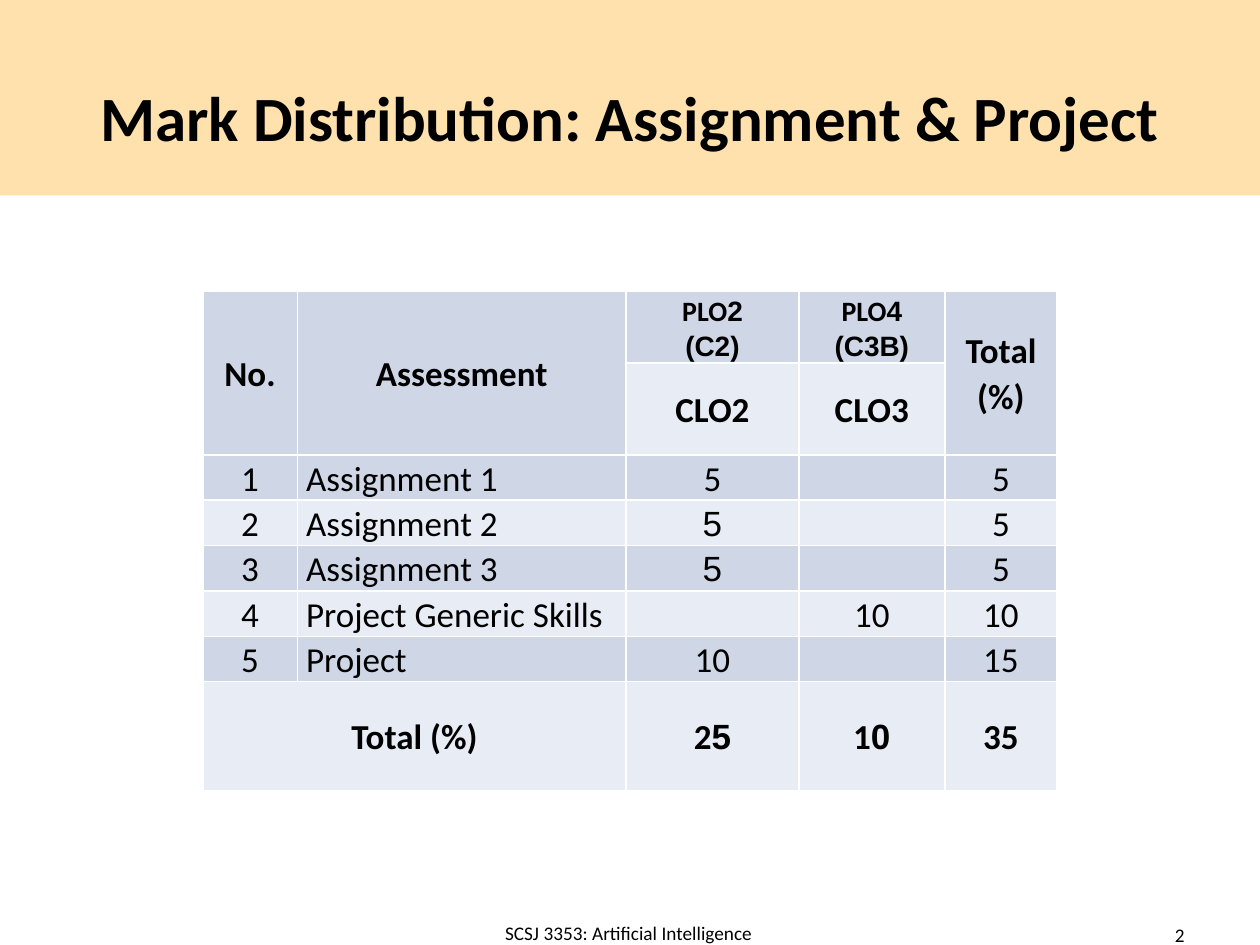
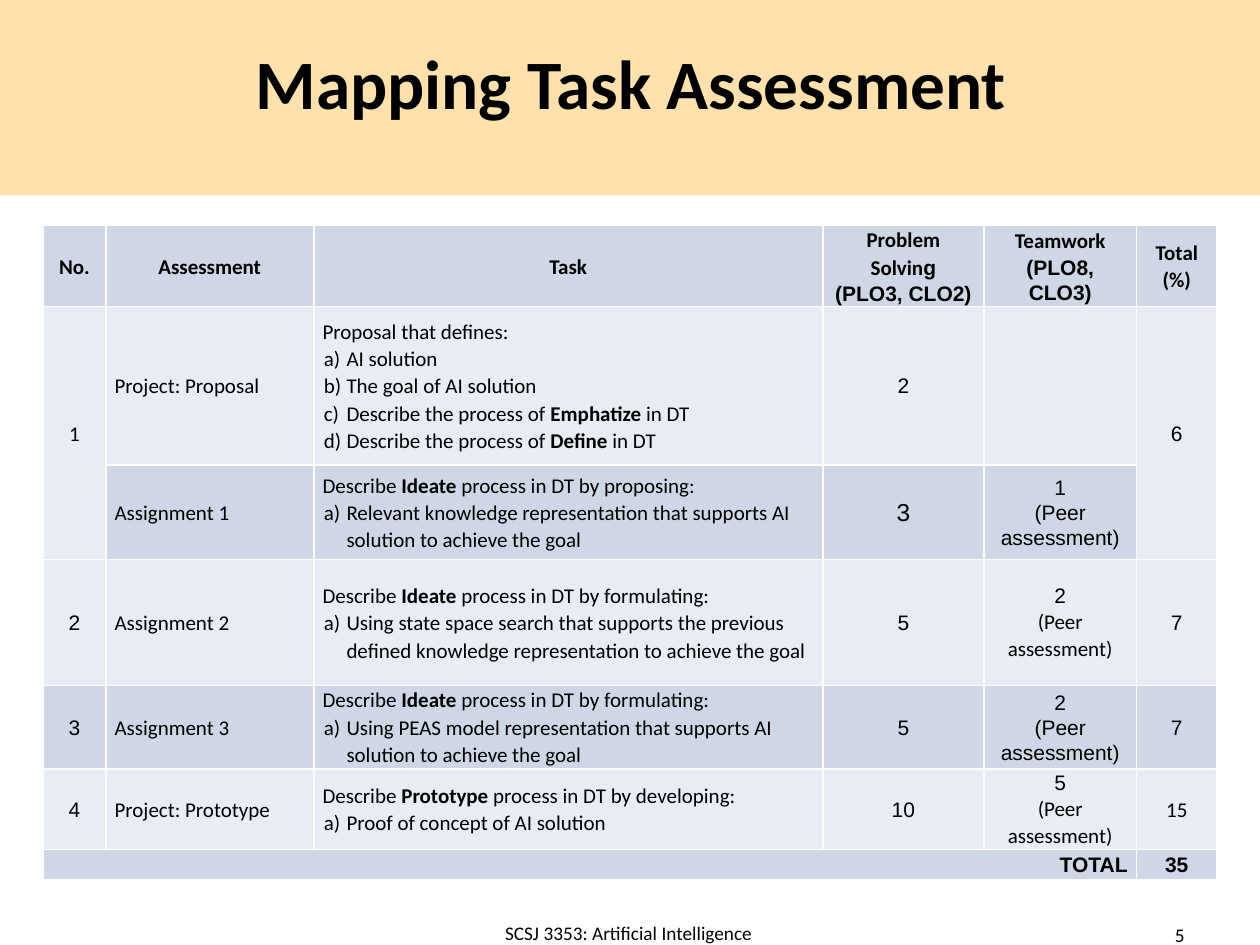
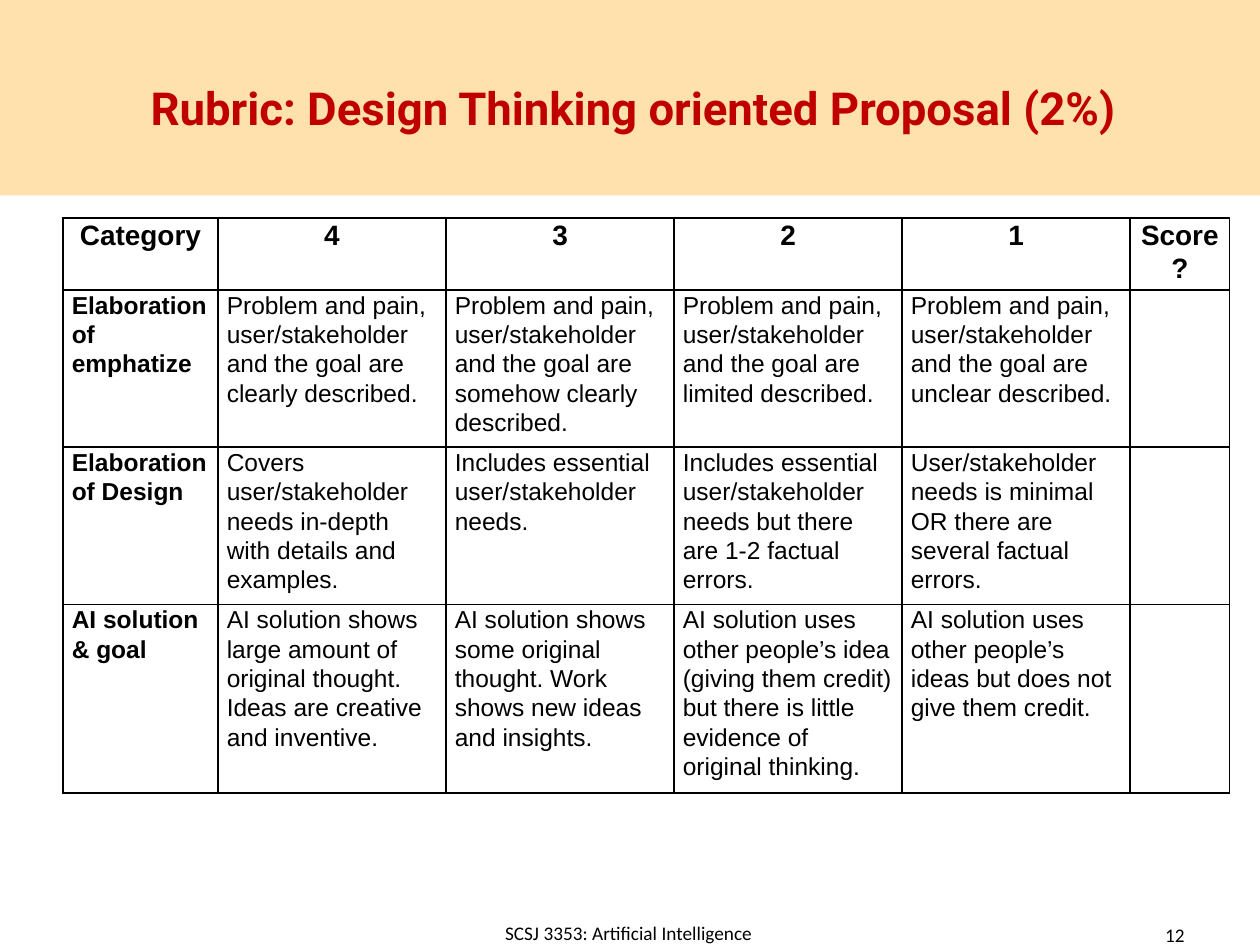
from dataclasses import dataclass, field

from lxml import etree
from pptx import Presentation
from pptx.dml.color import RGBColor
from pptx.enum.shapes import MSO_SHAPE
from pptx.enum.text import MSO_ANCHOR, PP_ALIGN
from pptx.oxml.ns import qn
from pptx.util import Inches, Pt

RECT = MSO_SHAPE.RECTANGLE
MIDDLE, TOP = MSO_ANCHOR.MIDDLE, MSO_ANCHOR.TOP
ALIGN = {"l": PP_ALIGN.LEFT, "c": PP_ALIGN.CENTER, "r": PP_ALIGN.RIGHT}
COLORS = {
    "band": "FFE1AD",
    "ink": "000000",
    "red": "C00000",
    "white": "FFFFFF",
    "row_dark": "CFD7E7",
    "row_light": "E8ECF4",
}
BODY_FONT, ALT_FONT = "Calibri", "Arial"
BOLD_MARK, ALT_MARK, ITEM_MARK = "*", "~", "#"
FOOTER = "SCSJ 3353: Artificial Intelligence"
FOOTER_SIZE = 11
LINE_SPACING = 1.07


@dataclass
class Label:
    text: str
    box: tuple[float, float, float, float]
    size: float
    font: str = BODY_FONT
    color: str = "ink"
    bold: bool = False
    align: str = "c"


@dataclass
class Grid:
    left: float
    top: float
    cols: list[float]
    rows: list[float]
    cells: list[list[str]]
    aligns: str
    size: float
    font: str = BODY_FONT
    border: str = "white"
    fills: tuple[str, ...] = ("row_dark", "row_light")
    anchor: MSO_ANCHOR = MIDDLE
    header_rows: int = 1
    bold_rows: tuple[int, ...] = (0,)
    bold_cols: tuple[int, ...] = ()
    merges: list[tuple[int, int, int, int]] = field(default_factory=list)
    cell_aligns: dict[tuple[int, int], str] = field(default_factory=dict)
    cell_sizes: dict[tuple[int, int], float] = field(default_factory=dict)


@dataclass
class Page:
    title: Label
    number: int
    grid: Grid


def rgb(name: str) -> RGBColor:
    return RGBColor.from_string(COLORS[name])


def style_run(r, size: float, font: str, color: str, bold: bool) -> None:
    r.font.size = Pt(size)
    r.font.name = font
    r.font.bold = bold
    r.font.color.rgb = rgb(color)


def add_label(slide, label: Label) -> None:
    tf = slide.shapes.add_textbox(*map(Inches, label.box)).text_frame
    tf.word_wrap = True
    tf.vertical_anchor = MIDDLE
    tf.text = label.text
    p = tf.paragraphs[0]
    p.alignment = ALIGN[label.align]
    style_run(p.runs[0], label.size, label.font, label.color, label.bold)


def add_band(slide) -> None:
    sp = slide.shapes.add_shape(RECT, 0, 0, Inches(10), Inches(1.55))
    sp.shadow.inherit = False
    sp.fill.solid()
    sp.fill.fore_color.rgb = rgb("band")
    sp.line.fill.background()


def letter_item(p) -> None:
    pPr = p._p.get_or_add_pPr()
    pPr.set("marL", str(Inches(0.19)))
    pPr.set("indent", str(Inches(-0.18)))
    clr = etree.SubElement(pPr, qn("a:buClr"))
    etree.SubElement(clr, qn("a:srgbClr")).set("val", COLORS["ink"])
    etree.SubElement(pPr, qn("a:buAutoNum")).set("type", "alphaLcParenR")


def set_borders(cell, color: str) -> None:
    tcPr = cell._tc.get_or_add_tcPr()
    for i, side in enumerate(("lnL", "lnR", "lnT", "lnB")):
        ln = etree.Element(qn(f"a:{side}"))
        ln.set("w", str(Pt(1)))
        fill = etree.SubElement(ln, qn("a:solidFill"))
        etree.SubElement(fill, qn("a:srgbClr")).set("val", COLORS[color])
        tcPr.insert(i, ln)


def write_cell(cell, text: str, align: str, size: float, font: str, bold: bool) -> None:
    tf = cell.text_frame
    for i, line in enumerate(text.split("\n")):
        p = tf.add_paragraph() if i else tf.paragraphs[0]
        p.alignment = ALIGN[align]
        p.line_spacing = LINE_SPACING
        if line.startswith(ITEM_MARK):
            letter_item(p)
            line = line[1:]
        for j, strong in enumerate(line.split(BOLD_MARK)):
            for k, part in enumerate(strong.split(ALT_MARK)):
                if part:
                    r = p.add_run()
                    r.text = part
                    style_run(r, size, ALT_FONT if k % 2 else font, "ink", bold or j % 2 == 1)


def add_grid(slide, grid: Grid) -> None:
    frame = slide.shapes.add_table(
        len(grid.rows), len(grid.cols), Inches(grid.left), Inches(grid.top),
        Inches(sum(grid.cols)), Inches(sum(grid.rows)))
    table = frame.table
    table.first_row = table.horz_banding = False
    for col, width in zip(table.columns, grid.cols):
        col.width = Inches(width)
    for row, height in zip(table.rows, grid.rows):
        row.height = Inches(height)
    for i, texts in enumerate(grid.cells):
        for j, text in enumerate(texts):
            cell = table.cell(i, j)
            cell.margin_left = cell.margin_right = Inches(0.07)
            cell.margin_top = cell.margin_bottom = 0
            cell.vertical_anchor = grid.anchor
            if grid.fills:
                cell.fill.solid()
                cell.fill.fore_color.rgb = rgb(grid.fills[i % len(grid.fills)])
            else:
                cell.fill.background()
            set_borders(cell, grid.border)
            align = "c" if i < grid.header_rows else grid.aligns[j]
            write_cell(cell, text, grid.cell_aligns.get((i, j), align),
                       grid.cell_sizes.get((i, j), grid.size), grid.font,
                       i in grid.bold_rows or j in grid.bold_cols)
    for top, left, bottom, right in grid.merges:
        table.cell(top, left).merge(table.cell(bottom, right))


MARKS = Grid(
    left=1.61, top=2.31,
    cols=[0.75, 2.61, 1.37, 1.16, 0.89],
    rows=[0.57, 0.73] + [0.36] * 5 + [0.87],
    aligns="clccc", size=20, header_rows=2, bold_rows=(0, 1, 7),
    merges=[(0, 0, 1, 0), (0, 1, 1, 1), (0, 4, 1, 4), (7, 0, 7, 1)],
    cell_sizes={(0, 2): 16, (0, 3): 16},
    cells=[
        ["No.", "Assessment", "PLO~2~\n~(C2)~", "PLO~4~\n~(C3B)~", "Total (%)"],
        ["", "", "CLO2", "CLO3", ""],
        ["1", "Assignment 1", "5", "", "5"],
        ["2", "Assignment 2", "~5~", "", "5"],
        ["3", "Assignment 3", "~5~", "", "5"],
        ["4", "Project Generic Skills", "", "10", "10"],
        ["5", "Project", "10", "", "15"],
        ["Total (%)", "", "2~5~", "1~0~", "35"],
    ],
)

TASKS = Grid(
    left=0.34, top=1.79,
    cols=[0.5, 1.65, 4.04, 1.28, 1.21, 0.64],
    rows=[0.63, 1.26, 0.75, 1, 0.66, 0.63, 0.24],
    aligns="cllccc", size=12, bold_rows=(0, 6),
    merges=[(1, 0, 2, 0), (1, 5, 2, 5), (6, 0, 6, 4)],
    cell_aligns={(6, 0): "r"}, cell_sizes={(2, 3): 14},
    cells=[
        ["No.", "Assessment", "Task", "Problem Solvin~g~\n~(PLO3, CLO2)~",
         "Teamwork\n~(PLO8, CLO3)~", "Total (%)"],
        ["1", "Project: Proposal",
         "Proposal that defines:\n#AI solution\n#The goal of AI solution\n"
         "#Describe the process of *Emphatize* in DT\n"
         "#Describe the process of *Define* in DT", "~2~", "", "~6~"],
        ["", "Assignment 1",
         "Describe *Ideate* process in DT by proposing:\n"
         "#Relevant knowledge representation that supports AI solution to achieve the goal",
         "~3~", "~1~\n~(Peer assessment)~", ""],
        ["~2~", "Assignment 2",
         "Describe *Ideate* process in DT by formulating:\n"
         "#Using state space search that supports the previous defined knowledge "
         "representation to achieve the goal",
         "~5~", "~2~\n(Peer assessment)", "~7~"],
        ["~3~", "Assignment 3",
         "Describe *Ideate* process in DT by formulating:\n"
         "#Using PEAS model representation that supports AI solution to achieve the goal",
         "~5~", "~2~\n~(Peer assessment)~", "~7~"],
        ["~4~", "Project: Prototype",
         "Describe *Prototype* process in DT by developing:\n#Proof of concept of AI solution",
         "~10~", "~5~\n(Peer assessment)", "15"],
        ["~TOTAL~", "", "", "", "", "~35~"],
    ],
)

RUBRIC = Grid(
    left=0.5, top=1.73,
    cols=[1.23] + [1.81] * 4 + [0.79],
    rows=[0.53, 1.17, 1.17, 1.4],
    aligns="llllll", size=14, font=ALT_FONT, border="ink", fills=(), anchor=TOP,
    bold_cols=(0,), cell_sizes={(0, j): 16 for j in range(6)},
    cells=[
        ["Category", "4", "3", "2", "1", "Score?"],
        ["Elaboration of emphatize"]
        + [f"Problem and pain, user/stakeholder and the goal are {level} described."
           for level in ("clearly", "somehow clearly", "limited", "unclear")] + [""],
        ["Elaboration of Design",
         "Covers user/stakeholder needs in-depth with details and examples.",
         "Includes essential user/stakeholder needs.",
         "Includes essential user/stakeholder needs but there are 1-2 factual errors.",
         "User/stakeholder needs is minimal OR there are several factual errors.", ""],
        ["AI solution & goal",
         "AI solution shows large amount of original thought. Ideas are creative and inventive.",
         "AI solution shows some original thought. Work shows new ideas and insights.",
         "AI solution uses other people’s idea (giving them credit) but there is little "
         "evidence of original thinking.",
         "AI solution uses other people’s ideas but does not give them credit.", ""],
    ],
)

PAGES = [
    Page(Label("Mark Distribution: Assignment & Project", (0.5, 0.3, 9, 1.25), 36, bold=True),
         2, MARKS),
    Page(Label("Mapping Task Assessment", (0.51, 0.29, 9, 0.72), 39.6, bold=True), 5, TASKS),
    Page(Label("Rubric: Design Thinking oriented Proposal (2%)", (0.53, 0.42, 9, 0.87), 26,
               "Roboto", "red", True), 12, RUBRIC),
]


def main() -> None:
    prs = Presentation()
    prs.slide_width, prs.slide_height = Inches(10), Inches(7.5)
    for page in PAGES:
        slide = prs.slides.add_slide(prs.slide_layouts[6])
        add_band(slide)
        add_label(slide, page.title)
        add_label(slide, Label(FOOTER, (2.7, 7.24, 4.58, 0.33), FOOTER_SIZE))
        add_label(slide, Label(str(page.number), (7.17, 7.22, 2.33, 0.4), FOOTER_SIZE, align="r"))
        add_grid(slide, page.grid)
    prs.save("out.pptx")


if __name__ == "__main__":
    main()
